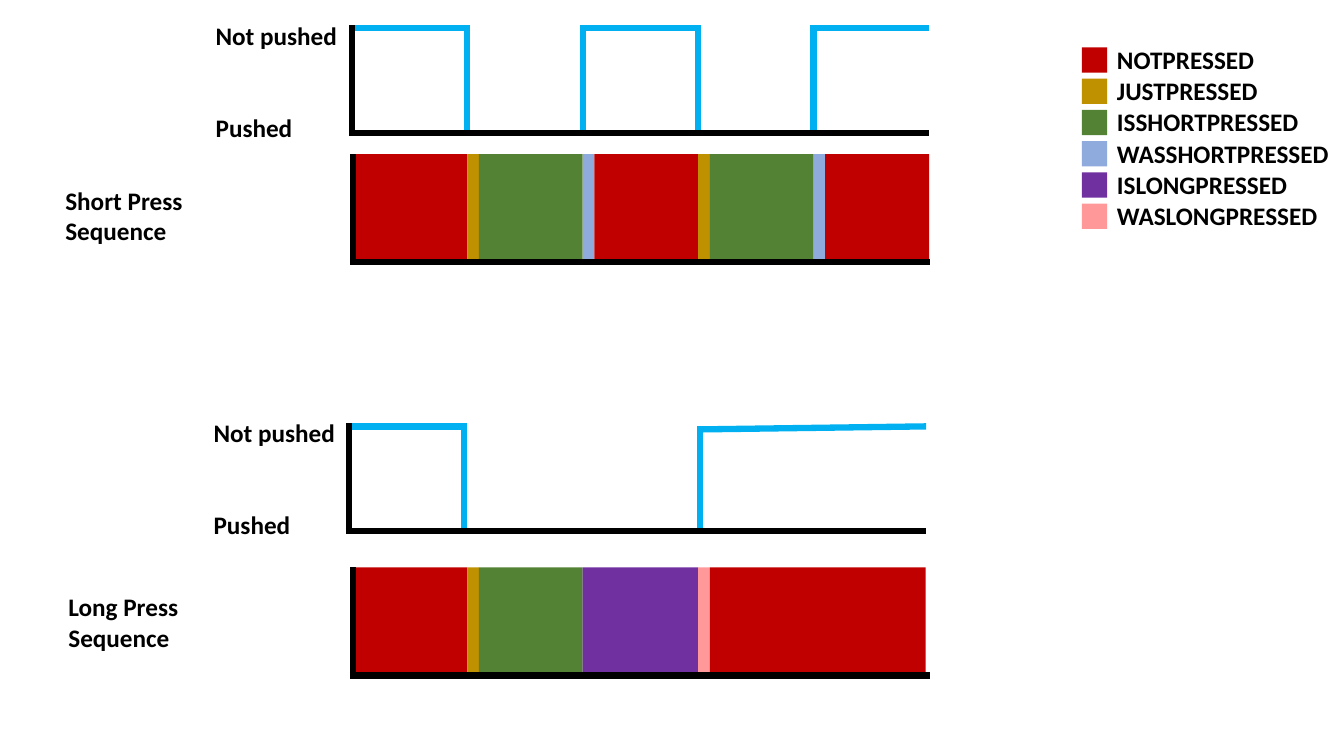
from dataclasses import dataclass

from lxml.etree import SubElement
from pptx import Presentation
from pptx.dml.color import RGBColor
from pptx.enum.shapes import MSO_CONNECTOR, MSO_SHAPE
from pptx.oxml.ns import qn
from pptx.util import Inches, Pt


@dataclass(frozen=True)
class Theme:
    font: str = "Calibri"
    text_size: int = 18
    line_width: float = 4.5
    ink: str = "000000"
    signal: str = "00B0F0"


THEME = Theme()

STATES = {
    "NOTPRESSED": "C00000",
    "JUSTPRESSED": "BF9000",
    "ISSHORTPRESSED": "548235",
    "WASSHORTPRESSED": "8FAADC",
    "ISLONGPRESSED": "7030A0",
    "WASLONGPRESSED": "FF9999",
}

# Highs are (start column, end column, dip at the start in inches).
# Bands are (state, start column, end column).
SEQUENCES = [
    {
        "title": ["Short Press", "Sequence"],
        "title_at": (0.55, 1.79, 1.37),
        "levels_at": (2.04, 0.15),
        "signal_at": (3.49, 0.25),
        "highs": [(0, 1, 0), (2, 3, 0), (4, 5, 0)],
        "bands_top": 1.53,
        "bands": [
            ("NOTPRESSED", 0, 1), ("JUSTPRESSED", 1, 1.1),
            ("ISSHORTPRESSED", 1.1, 2), ("WASSHORTPRESSED", 2, 2.1),
            ("NOTPRESSED", 2.1, 3), ("JUSTPRESSED", 3, 3.1),
            ("ISSHORTPRESSED", 3.1, 4), ("WASSHORTPRESSED", 4, 4.1),
            ("NOTPRESSED", 4.1, 5),
        ],
    },
    {
        "title": ["Long Press", "Sequence"],
        "title_at": (0.58, 5.82, 2.14),
        "levels_at": (2.02, 4.09),
        "signal_at": (3.46, 4.2),
        "highs": [(0, 1, 0), (3.04, 5, 0.03)],
        "bands_top": 5.63,
        "bands": [
            ("NOTPRESSED", 0, 1), ("JUSTPRESSED", 1, 1.1),
            ("ISSHORTPRESSED", 1.1, 2), ("ISLONGPRESSED", 2, 3),
            ("WASLONGPRESSED", 3, 3.1), ("NOTPRESSED", 3.1, 4.97),
        ],
    },
]

SLIDE_WIDTH, SLIDE_HEIGHT = 13.33, 7.5
COLUMN, COLUMNS = 1.145, 5
CHART_HEIGHT = 1.07
BANDS_LEFT = 3.49
HALF_LINE = 0.03
LEVEL_GAP = 44  # points: two text lines between the level names
LEGEND_LEFT, LEGEND_TOP, LEGEND_STEP, SWATCH = 10.73, 0.47, 0.31, 0.25


def add_line(slide, start, end, color):
    line = slide.shapes.add_connector(
        MSO_CONNECTOR.STRAIGHT, *map(Inches, (*start, *end)))
    line.line.color.rgb = RGBColor.from_string(color)
    line.line.width = Pt(THEME.line_width)
    SubElement(line._element.spPr, qn("a:effectLst"))


def add_block(slide, left, top, width, height, color):
    block = slide.shapes.add_shape(
        MSO_SHAPE.RECTANGLE, *map(Inches, (left, top, width, height)))
    block.shadow.inherit = False
    block.fill.solid()
    block.fill.fore_color.rgb = RGBColor.from_string(color)
    block.line.fill.background()


def add_label(slide, lines, left, top, width, height, gap=0):
    box = slide.shapes.add_textbox(*map(Inches, (left, top, width, height)))
    frame = box.text_frame
    frame.word_wrap = False
    for index, text in enumerate(lines):
        paragraph = frame.add_paragraph() if index else frame.paragraphs[0]
        paragraph.text = text
        if index and gap:
            paragraph.space_before = Pt(gap)
        paragraph.font.name = THEME.font
        paragraph.font.size = Pt(THEME.text_size)
        paragraph.font.bold = True
        paragraph.font.color.rgb = RGBColor.from_string(THEME.ink)


def add_axes(slide, left, top):
    bottom = top + CHART_HEIGHT
    add_line(slide, (left, bottom), (left, top), THEME.ink)
    add_line(slide, (left - HALF_LINE, bottom),
             (left + COLUMN * COLUMNS, bottom), THEME.ink)


def add_signal(slide, left, top, highs):
    """Draw each high level with its rising and falling edges."""
    bottom = top + CHART_HEIGHT
    for first, last, dip in highs:
        start, end = left + first * COLUMN, left + last * COLUMN
        level = top + HALF_LINE
        reach = HALF_LINE if last < COLUMNS else 0
        add_line(slide, (start, level + dip), (end + reach, level), THEME.signal)
        if first > 0:
            add_line(slide, (start, top + dip), (start, bottom), THEME.signal)
        if last < COLUMNS:
            add_line(slide, (end, top), (end, bottom), THEME.signal)
    add_axes(slide, left, top)


def add_bands(slide, top, bands):
    for state, first, last in bands:
        add_block(slide, BANDS_LEFT + first * COLUMN, top,
                  (last - first) * COLUMN, CHART_HEIGHT, STATES[state])
    add_axes(slide, BANDS_LEFT + 0.01, top)


def add_legend(slide):
    for row, (state, color) in enumerate(STATES.items()):
        top = LEGEND_TOP + row * LEGEND_STEP
        add_block(slide, LEGEND_LEFT, top, SWATCH, SWATCH, color)
        add_label(slide, [state], LEGEND_LEFT + SWATCH, top - 0.08, 2.3, 0.4)


def main():
    presentation = Presentation()
    presentation.slide_width = Inches(SLIDE_WIDTH)
    presentation.slide_height = Inches(SLIDE_HEIGHT)
    slide = presentation.slides.add_slide(presentation.slide_layouts[6])
    for sequence in SEQUENCES:
        add_signal(slide, *sequence["signal_at"], sequence["highs"])
        add_label(slide, ["Not pushed", "Pushed"], *sequence["levels_at"],
                  1.42, 1.31, LEVEL_GAP)
        add_label(slide, sequence["title"], *sequence["title_at"], 0.71)
        add_bands(slide, sequence["bands_top"], sequence["bands"])
    add_legend(slide)
    presentation.save("out.pptx")


if __name__ == "__main__":
    main()
